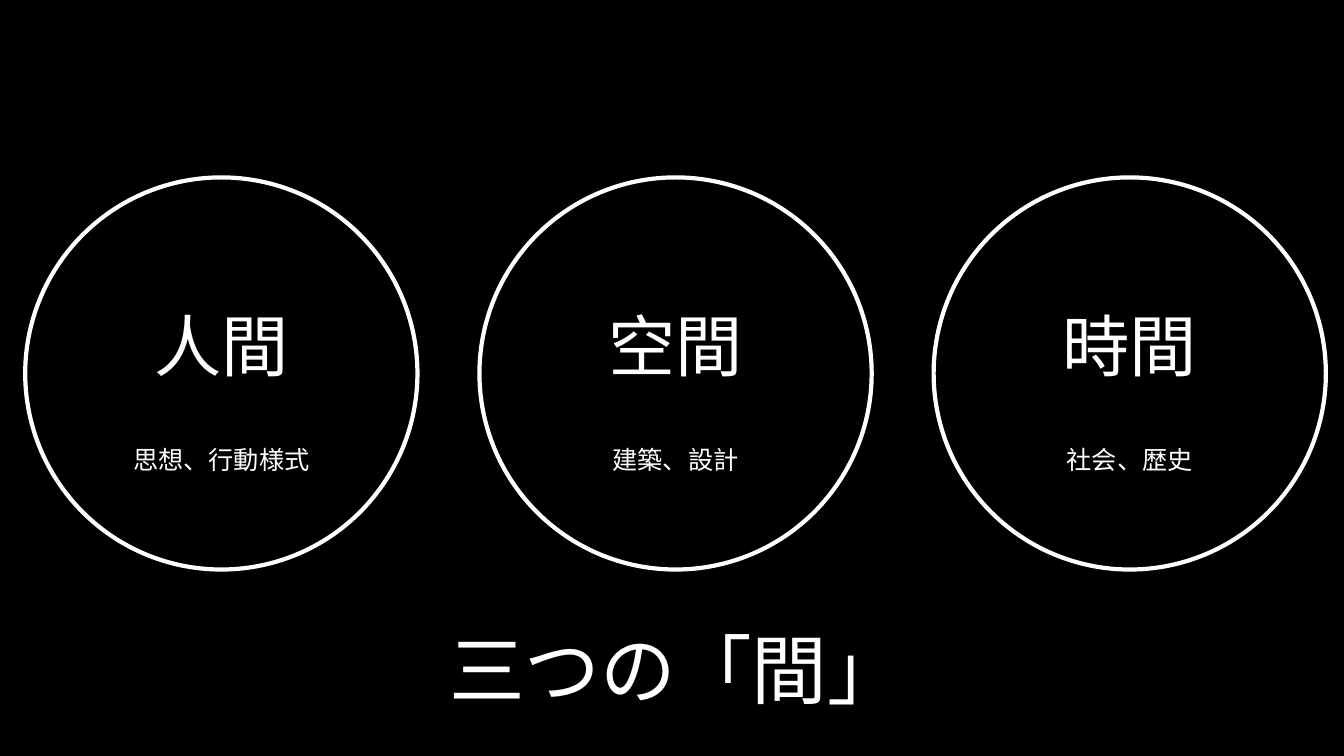
from dataclasses import dataclass

from pptx import Presentation
from pptx.dml.color import RGBColor
from pptx.enum.shapes import MSO_SHAPE
from pptx.enum.text import MSO_ANCHOR, MSO_AUTO_SIZE, PP_ALIGN
from pptx.util import Inches, Pt

ELLIPSE = MSO_SHAPE.OVAL
TOP = MSO_ANCHOR.TOP
GROW = MSO_AUTO_SIZE.SHAPE_TO_FIT_TEXT
CENTER = PP_ALIGN.CENTER
TITLE_ONLY = 5

TITLE = "三つの「間」"
CONCEPTS = [
    ("人間", "思想、行動様式"),
    ("空間", "建築、設計"),
    ("時間", "社会、歴史"),
]


@dataclass(frozen=True)
class Theme:
    background: RGBColor = RGBColor(0x00, 0x00, 0x00)
    foreground: RGBColor = RGBColor(0xFF, 0xFF, 0xFF)
    font: str = "Calibri"
    title: Pt = Pt(54)
    concept: Pt = Pt(48)
    detail: Pt = Pt(18)
    outline: Pt = Pt(3)


THEME = Theme()

# Lengths in inches
FIRST_LEFT, CIRCLE_TOP, DIAMETER, PITCH = 0.25, 1.76, 3.89, 4.505
CONCEPT_BOX = (2.97, 2.29, 0.91)  # top, width, height
DETAIL_BOX = (4.36, 1.97, 0.4)
TITLE_BOX = (4.16, 6.13, 5.09, 1.01)  # left, top, width, height


def write(shape, text, size):
    tf = shape.text_frame
    tf.word_wrap = True
    tf.auto_size = GROW
    tf.vertical_anchor = TOP
    p = tf.paragraphs[0]
    p.text = text
    p.alignment = CENTER
    p.font.name = THEME.font
    p.font.size = size
    p.font.color.rgb = THEME.foreground


def add_circle(s, left):
    circle = s.shapes.add_shape(ELLIPSE, Inches(left), Inches(CIRCLE_TOP),
                                Inches(DIAMETER), Inches(DIAMETER))
    circle.shadow.inherit = False
    circle.fill.background()
    circle.line.color.rgb = THEME.foreground
    circle.line.width = THEME.outline


def add_centered_text(s, center, box, text, size):
    top, width, height = box
    label = s.shapes.add_textbox(Inches(center - width / 2), Inches(top),
                                 Inches(width), Inches(height))
    write(label, text, size)


def main():
    prs = Presentation()
    prs.slide_width, prs.slide_height = Inches(13.33), Inches(7.5)
    s = prs.slides.add_slide(prs.slide_layouts[TITLE_ONLY])
    s.background.fill.solid()
    s.background.fill.fore_color.rgb = THEME.background

    for i, (concept, detail) in enumerate(CONCEPTS):
        left = FIRST_LEFT + i * PITCH
        center = left + DIAMETER / 2
        add_circle(s, left)
        add_centered_text(s, center, CONCEPT_BOX, concept, THEME.concept)
        add_centered_text(s, center, DETAIL_BOX, detail, THEME.detail)

    title = s.shapes.title
    title.left, title.top, title.width, title.height = map(Inches, TITLE_BOX)
    write(title, TITLE, THEME.title)

    prs.save("out.pptx")


if __name__ == "__main__":
    main()
